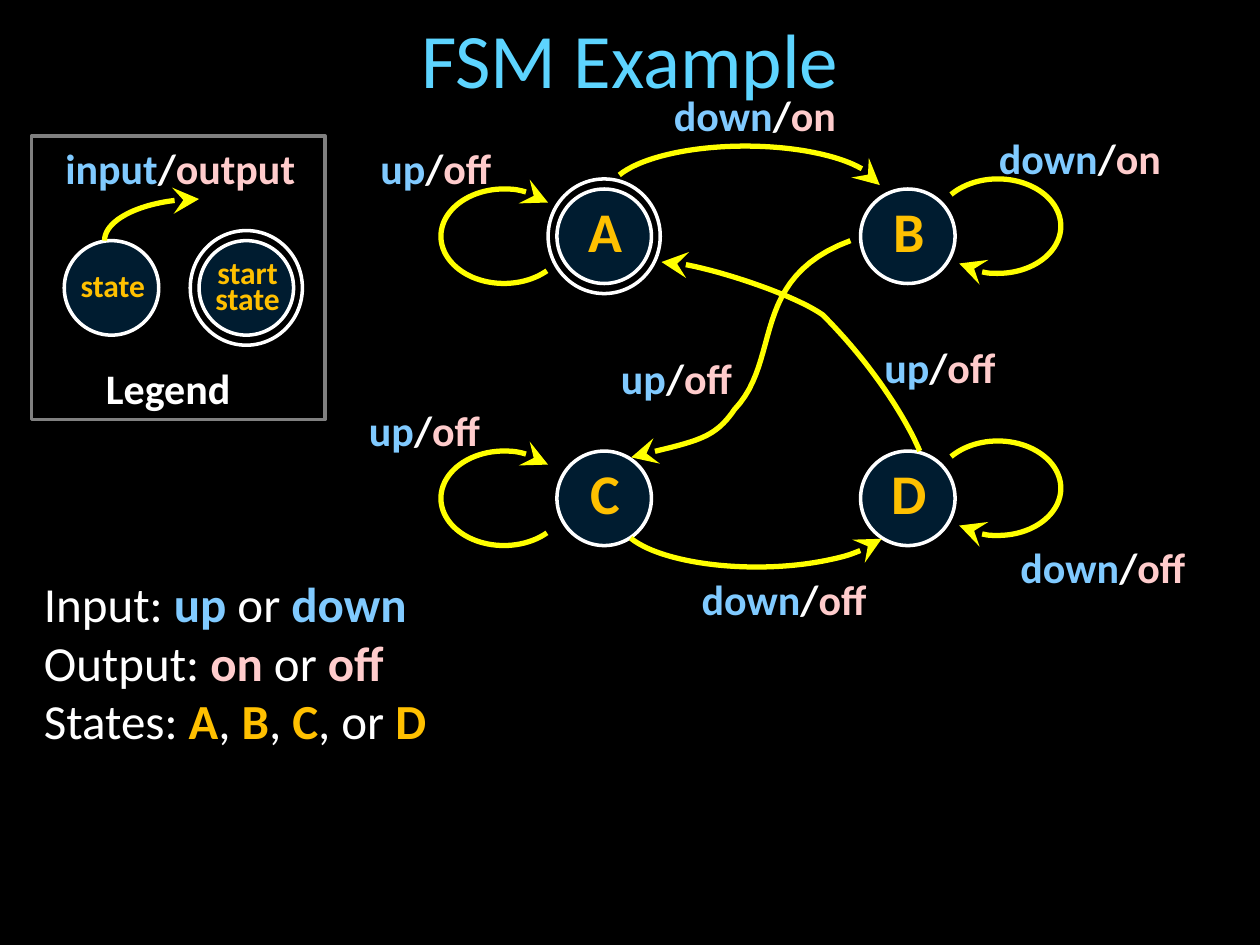
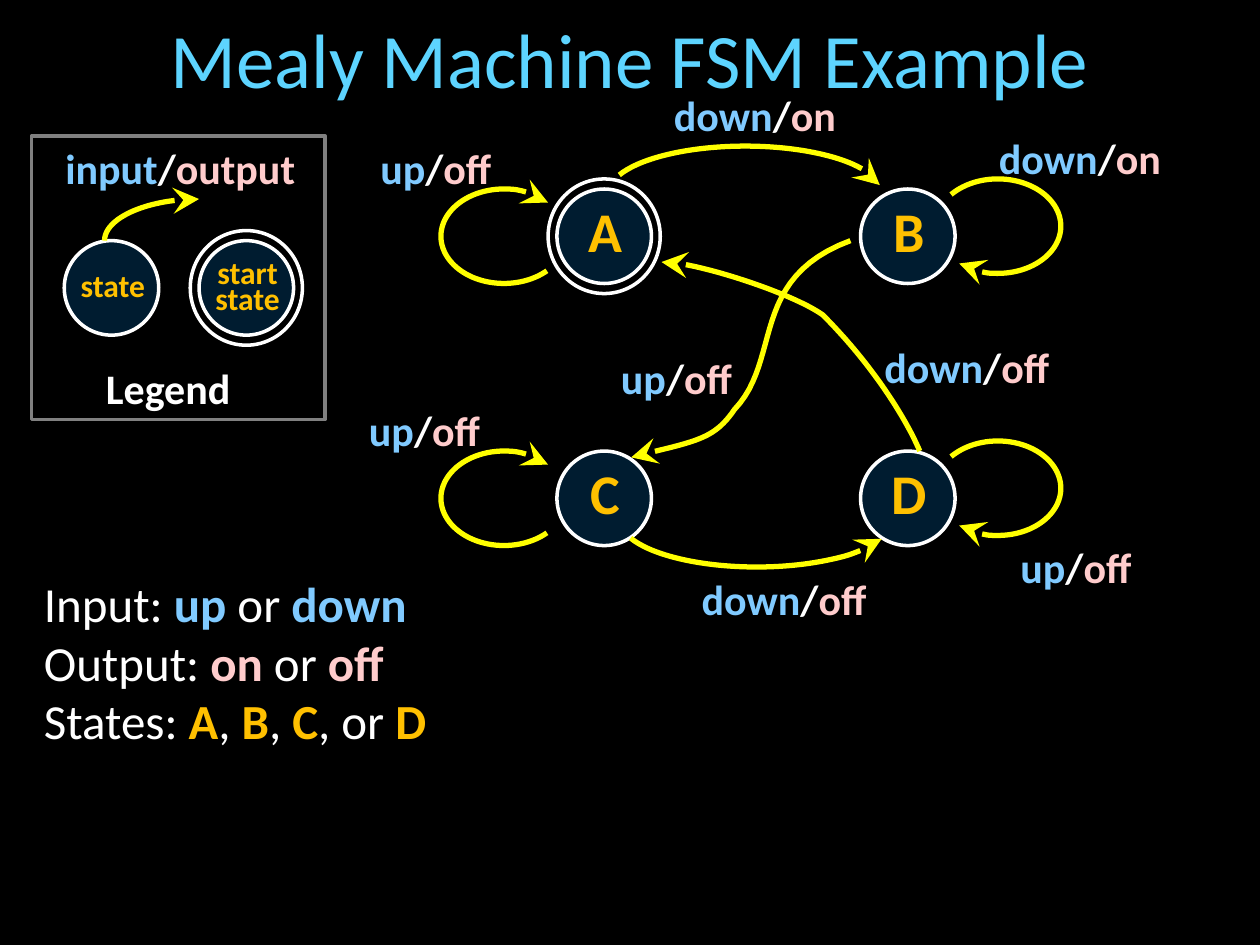
from dataclasses import dataclass

from lxml.etree import SubElement
from pptx import Presentation
from pptx.dml.color import RGBColor
from pptx.enum.shapes import MSO_SHAPE as Shape
from pptx.enum.text import MSO_ANCHOR as Anchor, MSO_AUTO_SIZE as AutoSize, PP_ALIGN as Align
from pptx.oxml.ns import qn
from pptx.util import Inches, Pt


@dataclass(frozen=True)
class Theme:
    font: str = "Calibri"
    background: str = "000000"
    title: str = "5DD4FF"
    text: str = "FFFFFF"
    input: str = "80CAFF"
    output: str = "FFCCCC"
    state: str = "FFC000"
    state_fill: str = "003860"
    arrow: str = "FFFF00"
    frame: str = "808080"
    title_size: int = 44
    state_size: int = 32
    body_size: int = 28
    label_size: int = 24
    legend_size: int = 18
    outline_width: int = 2
    arrow_width: int = 3


THEME = Theme()
STATE_SIZE = 0.75
Point = tuple[float, float]
Span = tuple[str, str]


@dataclass(frozen=True)
class State:
    name: str
    x: float
    y: float
    start: bool = False
    size: int = THEME.state_size


@dataclass(frozen=True)
class Arc:
    """An elliptical arrow; angles are in degrees, clockwise from the right."""
    x: float
    y: float
    w: float
    begin: float
    end: float
    flip: bool = False


@dataclass(frozen=True)
class Label:
    x: float
    y: float
    w: float
    input: str
    output: str


@dataclass(frozen=True)
class Machine:
    title: str
    d_to_a: str
    d_loop: str


LEFT, RIGHT, TOP, BOTTOM = 4.42, 6.83, 1.5, 3.58

STATES = [
    State("state", 0.51, 1.91, size=THEME.legend_size),
    State("start\nstate", 1.58, 1.91, True, THEME.legend_size),
    State("A", LEFT, TOP, True),
    State("B", RIGHT, TOP),
    State("C", LEFT, BOTTOM),
    State("D", RIGHT, BOTTOM),
]
ARCS = [
    Arc(4.83, 1.16, 2.17, 188.31, 356.46),
    Arc(4.92, 3.75, 2.17, 188.31, 351.34, flip=True),
]
for row in (TOP, BOTTOM):
    ARCS.append(Arc(3.5, row, 1, 38.77, 322.59))
    ARCS.append(Arc(7.42, row - 0.08, 1, 214.06, 135.96))

# Each curve is a start point followed by three Bezier points per segment.
CURVES: list[list[Point]] = [
    [(0.83, 1.91), (0.83, 1.73), (1.17, 1.58), (1.58, 1.58)],
    [(7.3, 3.58), (7.18, 3.3), (6.91, 2.88), (6.53, 2.5),
     (6.28, 2.32), (5.49, 2.07), (5.25, 2.08)],
    [(6.75, 1.91), (5.94, 2.21), (6.21, 2.85), (5.83, 3.25),
     (5.66, 3.5), (5.51, 3.5), (5.01, 3.63)],
]
LABELS = [
    Label(0.42, 1.08, 2.21, "input", "output"),
    Label(5.25, 0.66, 1.75, "down", "on"),
    Label(2.92, 1.08, 1.33, "up", "off"),
    Label(7.83, 1, 1.67, "down", "on"),
    Label(5.47, 4.5, 1.53, "down", "off"),
    Label(2.83, 3.16, 1.42, "up", "off"),
    Label(4.83, 2.75, 1.25, "up", "off"),
]
SUMMARY: list[list[Span]] = [
    [("Input: ", THEME.text), ("up", THEME.input), (" or ", THEME.text), ("down", THEME.input)],
    [("Output: ", THEME.text), ("on", THEME.output), (" or ", THEME.text), ("off", THEME.output)],
    [("States: ", THEME.text), ("A", THEME.state), (", ", THEME.text), ("B", THEME.state),
     (", ", THEME.text), ("C", THEME.state), (", or ", THEME.text), ("D", THEME.state)],
]
MACHINES = [
    Machine("FSM Example", d_to_a="up", d_loop="down"),
    Machine("Mealy Machine FSM Example", d_to_a="down", d_loop="up"),
]


def style_run(r, size: int, color: str, bold: bool = True) -> None:
    r.font.name = THEME.font
    r.font.size = Pt(size)
    r.font.bold = bold
    r.font.color.rgb = RGBColor.from_string(color)


def write_spans(p, spans: list[Span], size: int, plain: str = "") -> None:
    """Write coloured runs, bold except those in the plain colour."""
    for text, color in spans:
        r = p.add_run()
        r.text = text
        style_run(r, size, color, color != plain)


def add_box(s, x: float, y: float, w: float, h: float):
    tf = s.shapes.add_textbox(Inches(x), Inches(y), Inches(w), Inches(h)).text_frame
    tf.word_wrap = True
    return tf


def add_centred(s, text: str, x: float, y: float, w: float, h: float,
                size: int, color: str, bold: bool = True):
    tf = add_box(s, x, y, w, h)
    tf.vertical_anchor = Anchor.MIDDLE
    p = tf.paragraphs[0]
    p.text = text
    p.alignment = Align.CENTER
    for r in p.runs:
        style_run(r, size, color, bold)
    return p


def outline(sp, color: str, width: int) -> None:
    sp.shadow.inherit = False
    sp.fill.background()
    sp.line.color.rgb = RGBColor.from_string(color)
    sp.line.width = Pt(width)


def add_outlined(s, kind: Shape, x: float, y: float, w: float, h: float, color: str):
    sp = s.shapes.add_shape(kind, Inches(x), Inches(y), Inches(w), Inches(h))
    outline(sp, color, THEME.outline_width)
    return sp


def make_arrow(sp) -> None:
    outline(sp, THEME.arrow, THEME.arrow_width)
    SubElement(sp.line._get_or_add_ln(), qn("a:tailEnd"), type="stealth", w="lg", len="lg")


def add_state(s, state: State) -> None:
    sp = add_outlined(s, Shape.OVAL, state.x, state.y, STATE_SIZE, STATE_SIZE, THEME.text)
    sp.fill.solid()
    sp.fill.fore_color.rgb = RGBColor.from_string(THEME.state_fill)
    color = sp._element.spPr.find(qn("a:solidFill")).find(qn("a:srgbClr"))
    SubElement(color, qn("a:alpha"), val="50000")
    p = add_centred(s, state.name, state.x + 0.01, state.y + 0.2, STATE_SIZE, 0.38,
                    state.size, THEME.state)
    p.line_spacing = 0.7
    if state.start:
        add_outlined(s, Shape.OVAL, state.x - 0.07, state.y - 0.08, 0.89, 0.91, THEME.text)


def add_arc(s, arc: Arc) -> None:
    sp = s.shapes.add_shape(Shape.ARC, Inches(arc.x), Inches(arc.y),
                            Inches(arc.w), Inches(0.75))
    for i, angle in enumerate((arc.begin, arc.end)):
        sp.adjustments[i] = angle * 0.6  # 60000 units a degree, over 100000
    if arc.flip:
        sp._element.spPr.xfrm.set("flipV", "1")
    make_arrow(sp)


def bezier(a: Point, b: Point, c: Point, d: Point, steps: int = 24) -> list[Point]:
    points = []
    for i in range(1, steps + 1):
        t = i / steps
        u = 1 - t
        weights = (u**3, 3 * u * u * t, 3 * u * t * t, t**3)
        x, y = (sum(k * v for k, v in zip(weights, axis)) for axis in zip(a, b, c, d))
        points.append((x, y))
    return points


def add_curve(s, curve: list[Point]) -> None:
    points = [pt for i in range(0, len(curve) - 1, 3) for pt in bezier(*curve[i:i + 4])]
    x, y = curve[0]
    builder = s.shapes.build_freeform(Inches(x), Inches(y))
    builder.add_line_segments([(Inches(px), Inches(py)) for px, py in points], close=False)
    make_arrow(builder.convert_to_shape())


def add_label(s, label: Label) -> None:
    tf = add_box(s, label.x, label.y, label.w, 0.4)
    spans = [(label.input, THEME.input), ("/", THEME.text), (label.output, THEME.output)]
    write_spans(tf.paragraphs[0], spans, THEME.label_size)


def add_summary(s) -> None:
    tf = add_box(s, 0.25, 4.5, 3.31, 1.51)
    tf.word_wrap = False
    tf.auto_size = AutoSize.SHAPE_TO_FIT_TEXT
    for i, spans in enumerate(SUMMARY):
        p = tf.add_paragraph() if i else tf.paragraphs[0]
        write_spans(p, spans, THEME.body_size, plain=THEME.text)


def add_machine(prs, machine: Machine) -> None:
    s = prs.slides.add_slide(prs.slide_layouts[6])
    s.background.fill.solid()
    s.background.fill.fore_color.rgb = RGBColor.from_string(THEME.background)
    add_centred(s, machine.title, 0.25, 0.17, 9.5, 0.58,
                THEME.title_size, THEME.title, bold=False)
    add_outlined(s, Shape.RECTANGLE, 0.25, 1.08, 2.33, 2.25, THEME.frame)
    add_centred(s, "Legend", 0.67, 2.83, 1.33, 0.5, THEME.label_size, THEME.text)
    for state in STATES:
        add_state(s, state)
    for arc in ARCS:
        add_arc(s, arc)
    for curve in CURVES:
        add_curve(s, curve)
    for label in LABELS + [Label(6.92, 2.66, 1.58, machine.d_to_a, "off"),
                           Label(8, 4.25, 1.58, machine.d_loop, "off")]:
        add_label(s, label)
    add_summary(s)


def main() -> None:
    prs = Presentation()
    prs.slide_width, prs.slide_height = Inches(10), Inches(7.5)
    for machine in MACHINES:
        add_machine(prs, machine)
    prs.save("out.pptx")


if __name__ == "__main__":
    main()
